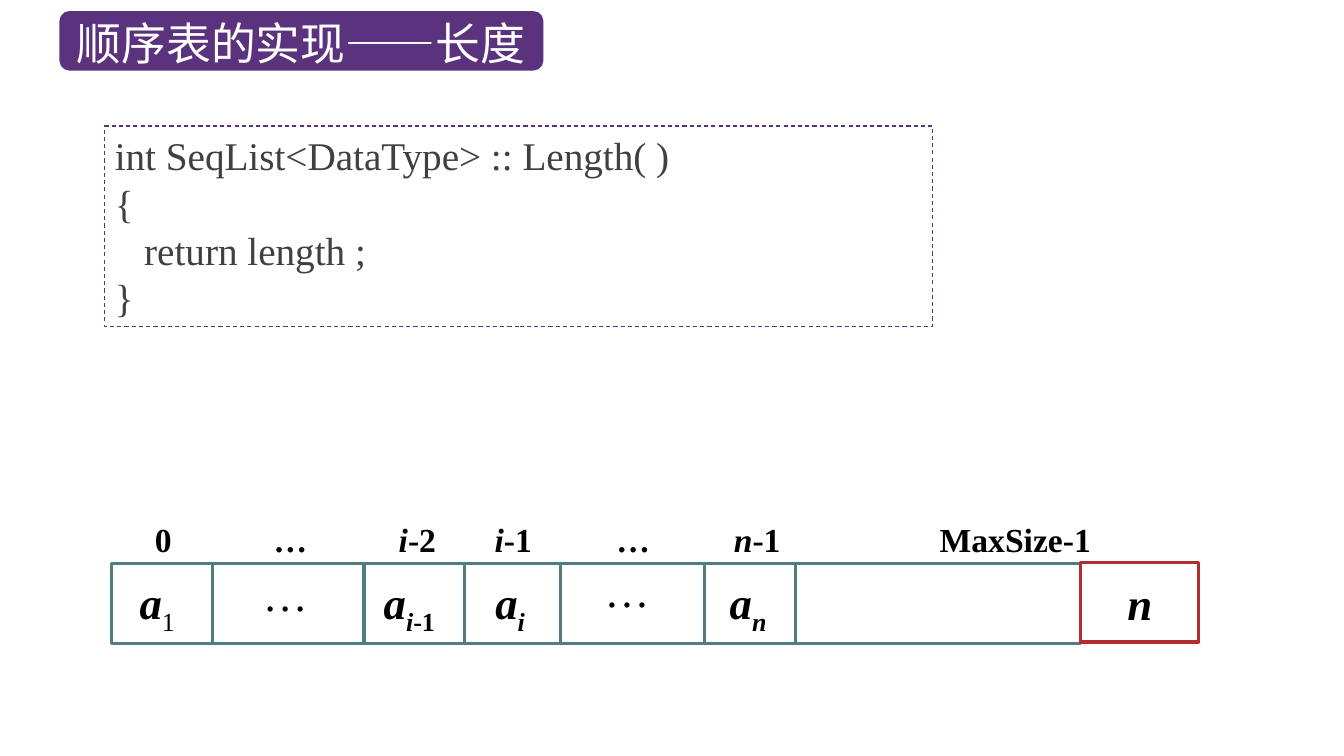
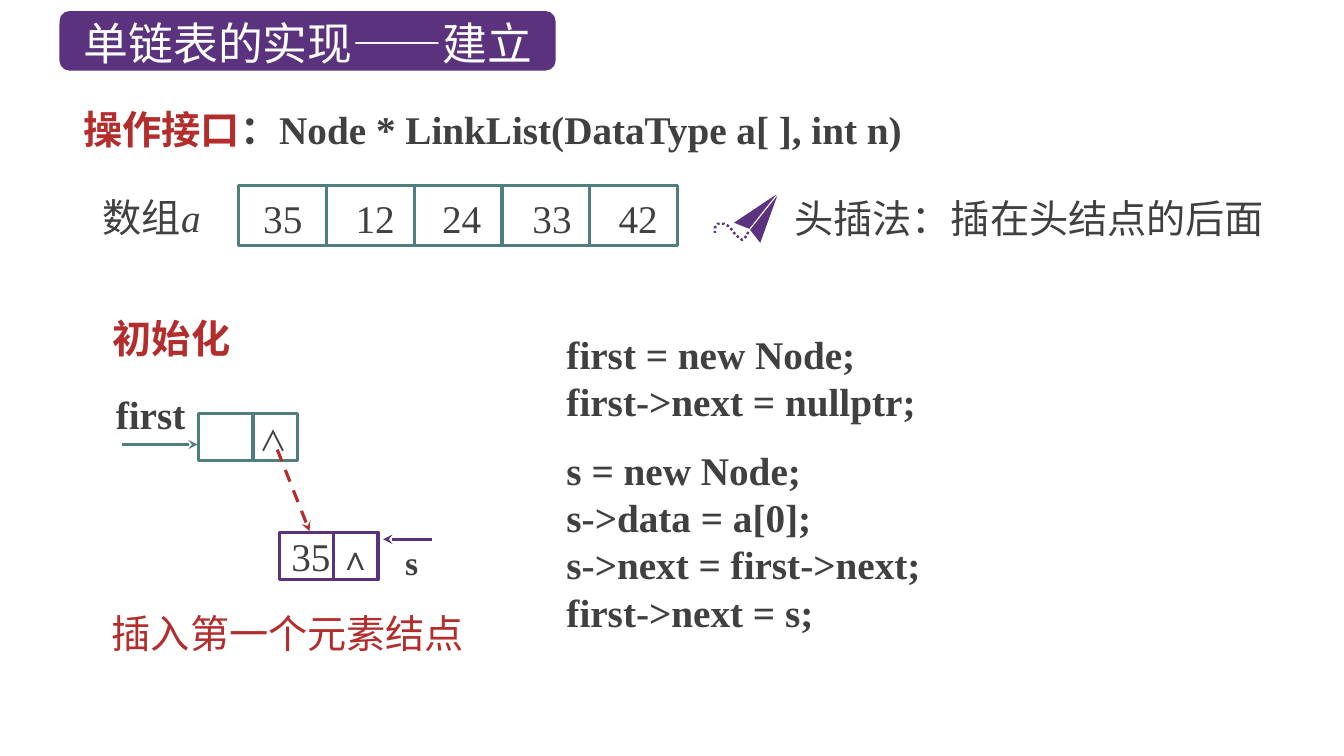
from lxml import etree
from pptx import Presentation
from pptx.dml.color import RGBColor
from pptx.enum.dml import MSO_LINE
from pptx.enum.shapes import MSO_CONNECTOR, MSO_SHAPE
from pptx.enum.text import MSO_ANCHOR, MSO_AUTO_SIZE, PP_ALIGN
from pptx.oxml.ns import qn
from pptx.util import Pt

PX = 9144  # 100 px to the inch
LATIN, CJK = "Times New Roman", "Noto Sans CJK SC"
PURPLE, TEAL, RED, GRAY = "5A327D", "507D7D", "B42D2D", "404040"
BLACK, WHITE = "000000", "FFFFFF"
LEFT, CENTER = PP_ALIGN.LEFT, PP_ALIGN.CENTER
TOP, MIDDLE = MSO_ANCHOR.TOP, MSO_ANCHOR.MIDDLE
DASH, DOT = MSO_LINE.DASH, MSO_LINE.ROUND_DOT
RECT, ROUNDED = MSO_SHAPE.RECTANGLE, MSO_SHAPE.ROUNDED_RECTANGLE
STRAIGHT = MSO_CONNECTOR.STRAIGHT
LATIN_LINE, CJK_LINE, SUB_LINE = 1.21, 1.28, 1.38  # line height in ems
INSET = (10, 5, 10, 5)

BODY = dict(name=LATIN, size=28, color=GRAY)
BOLD = dict(BODY, bold=True)
HEADING = dict(BOLD, color=RED)
CHINESE = dict(BODY, name=CJK)
TITLE = dict(name=CJK, size=32, color=WHITE)
INDEX = dict(name=LATIN, size=24, color=BLACK, bold=True)
CELL = dict(name=LATIN, size=32, color=BLACK)
SYMBOL = dict(CELL, bold=True, italic=True)
SUB = dict(SYMBOL, sub=True)

# Slide 1: code and the sequential list
LENGTH_CODE = ["int SeqList<DataType> :: Length( )", "{", "   return length ;", "}"]
ROW_EDGES = [111, 211, 361, 461, 556, 699, 789, 1072]
ROW_TOP, ROW_HEIGHT = 559, 79
INDEX_LABELS = [  # centre x, italic part, upright part
    (162, "", "0"), (288, "", "…"), (414, "i", "-2"), (509, "i", "-1"),
    (628, "", "…"), (751, "n", "-1"), (1007, "", "MaxSize-1"),
]
CELL_LABELS = [  # centre x, top, runs
    (156, 565, [("a", SYMBOL), ("1", dict(SUB, bold=False, italic=False))]),
    (283, 557, [("…", CELL)]),
    (406, 565, [("a", SYMBOL), ("i", SUB), ("-1", dict(SUB, italic=False))]),
    (506, 565, [("a", SYMBOL), ("i", SUB)]),
    (622, 553, [("…", CELL)]),
    (742, 565, [("a", SYMBOL), ("n", SUB)]),
]

# Slide 2: array, plane, captions and linked nodes
ARRAY = [("35", 0), ("12", 9), ("24", 7), ("33", 12), ("42", 9)]  # value, left inset
ARRAY_LEFT, ARRAY_TOP, ARRAY_STEP, ARRAY_HEIGHT = 237, 184, 87, 60
WINGS = [[(771, 194), (754, 241), (744, 228)], [(770, 193), (743, 227), (728, 221)]]
TRAIL = [(742, 230), (741, 234), (736, 238), (732, 235), (728, 231), (725, 227),
         (722, 224), (718, 222), (712, 222), (709, 226), (709, 231)]
CAPTIONS = [  # place, paragraphs of runs
    ((73, 97, 900, 57), [[("操作接口", HEADING),
                          ("：Node * LinkList(DataType a[ ], int n)", BOLD)]]),
    ((92, 184, 158, 57), [[("数组", CHINESE), ("a", dict(BODY, italic=True))]]),
    ((778, 185, 514, 57), [[("头插法：插在头结点的后面", CHINESE)]]),
    ((102, 304, 267, 57), [[("初始化", HEADING)]]),
    ((101, 597, 392, 57), [[("插入第一个元素结点", dict(CHINESE, color=RED))]]),
    ((552, 322, 691, 104), [[(line, BOLD)] for line in
                            ("first = new Node;", "first->next = nullptr;")]),
    ((552, 437, 682, 199), [[(line, BOLD)] for line in
                            ("s = new Node;", "s->data = a[0];",
                             "s->next = first->next;", "first->next = s;")]),
    ((105, 382, 103, 51), [[("first", BOLD)]]),
    ((248, 413, 48, 43), [[("∧", dict(CHINESE, size=20))]]),
    ((392, 532, 47, 40), [[("s", dict(BOLD, size=24))]]),
    ((326, 527, 49, 50), [[("∧", dict(BOLD, size=24))]]),
]
NODES = [(197, 410, TEAL, ""), (277, 528, PURPLE, "35")]
NODE_WIDTH, NODE_HEIGHT, NODE_SPLIT = 98, 47, 54
ARROWS = [  # start, end, colour, dash
    ((121, 441), (196, 441), TEAL, None),
    ((428, 535), (380, 535), PURPLE, None),
    ((275, 446), (307, 527), RED, DASH),
]


def px(*lengths):
    return [length * PX for length in lengths]


def rgb(color):
    return RGBColor.from_string(color)


def line_height(runs):
    if any(style.get("sub") for _, style in runs):
        return SUB_LINE
    wide = any(style["name"] == CJK or max(text) > "⺀" for text, style in runs)
    return CJK_LINE if wide else LATIN_LINE


def write(box, paragraphs, align=LEFT, anchor=TOP, inset=INSET, wrap=True):
    frame = box.text_frame
    settings = dict(zip(("margin_left", "margin_top", "margin_right", "margin_bottom"),
                        px(*inset)),
                    word_wrap=wrap, vertical_anchor=anchor, auto_size=MSO_AUTO_SIZE.NONE)
    for key, value in settings.items():
        setattr(frame, key, value)
    for number, runs in enumerate(paragraphs):
        para = frame.add_paragraph() if number else frame.paragraphs[0]
        para.alignment = align
        height = line_height(runs)
        para.line_spacing = Pt(round(runs[0][1]["size"] * height, 1))
        for text, style in runs:
            span = para.add_run()
            span.text = text
            formats = dict(name=style["name"], size=Pt(style["size"]),
                           bold=style.get("bold", False), italic=style.get("italic", False))
            for key, value in formats.items():
                setattr(span.font, key, value)
            span.font.color.rgb = rgb(style["color"])
            properties = span._r.get_or_add_rPr()
            if style.get("sub"):
                properties.set("baseline", "-25000")
            if height == CJK_LINE:
                etree.SubElement(properties, qn("a:ea")).set("typeface", CJK)


def add_text(page, place, paragraphs, **layout):
    box = page.shapes.add_textbox(*px(*place))
    write(box, paragraphs, **layout)


def paint(shape, fill=None, line=None, width=2.25, dash=None):
    shape.shadow.inherit = False
    if fill:
        shape.fill.solid()
        shape.fill.fore_color.rgb = rgb(fill)
    else:
        shape.fill.background()
    if line:
        shape.line.color.rgb = rgb(line)
        shape.line.width = Pt(width)
        if dash:
            shape.line.dash_style = dash
    else:
        shape.line.fill.background()


def add_box(page, place, kind=RECT, **look):
    shape = page.shapes.add_shape(kind, *px(*place))
    paint(shape, **look)
    return shape


def add_line(page, start, end, color, dash=None, arrow=False):
    line = page.shapes.add_connector(STRAIGHT, *px(*start, *end))
    line.line.color.rgb = rgb(color)
    line.line.width = Pt(2.25)
    if dash:
        line.line.dash_style = dash
    if arrow:
        etree.SubElement(line.line._get_or_add_ln(), qn("a:tailEnd")).set("type", "stealth")
    etree.SubElement(line._element.spPr, qn("a:effectLst"))


def add_outline(page, points, close=True, **look):
    builder = page.shapes.build_freeform(*points[0], scale=PX)
    builder.add_line_segments(points[1:], close=close)
    paint(builder.convert_to_shape(), **look)


def add_page(deck, title, band_width, title_left):
    page = deck.slides.add_slide(deck.slide_layouts[5])
    band = add_box(page, (59, 11, band_width, 59), ROUNDED, fill=PURPLE)
    page.shapes._spTree.insert(2, band._element)  # band goes behind the title
    heading = page.shapes.title
    heading.left, heading.top, heading.width, heading.height = px(title_left, 7, 483, 64)
    write(heading, [[(title, TITLE)]])
    return page


def build_length(deck):
    page = add_page(deck, "顺序表的实现——长度", 480, 66)
    code = add_box(page, (104, 125, 821, 199), line=PURPLE, width=0.75, dash=DASH)
    write(code, [[(line, BODY)] for line in LENGTH_CODE])

    # Row of cells with its labels
    left, right = ROW_EDGES[0], ROW_EDGES[-1]
    add_box(page, (left, ROW_TOP, right - left, ROW_HEIGHT), line=TEAL)
    for x in ROW_EDGES[1:-1]:
        add_line(page, (x, ROW_TOP), (x, ROW_TOP + ROW_HEIGHT), TEAL)
    for center, slanted, upright in INDEX_LABELS:
        runs = [(slanted, dict(INDEX, italic=True))] if slanted else []
        add_text(page, (center - 100, 510, 200, 50), [runs + [(upright, INDEX)]],
                 align=CENTER)
    for center, top, runs in CELL_LABELS:
        add_text(page, (center - 45, top, 90, 63), [runs], align=CENTER, inset=(0, 5, 0, 5))

    # Length field
    field = add_box(page, (right, 558, 117, ROW_HEIGHT), line=RED)
    write(field, [[("n", SYMBOL)]], align=CENTER, anchor=MIDDLE)


def build_creation(deck):
    page = add_page(deck, "单链表的实现——建立", 492, 73)

    # Array cells
    for number, (value, shift) in enumerate(ARRAY):
        cell = add_box(page, (ARRAY_LEFT + number * ARRAY_STEP, ARRAY_TOP,
                              ARRAY_STEP, ARRAY_HEIGHT), line=TEAL)
        write(cell, [[(value, BODY)]], align=CENTER, anchor=MIDDLE, inset=(shift, 4, 0, 0))

    # Paper plane
    for wing in WINGS:
        add_outline(page, wing, fill=PURPLE)
    add_outline(page, TRAIL, close=False, line=PURPLE, width=1.75, dash=DOT)

    # Linked nodes
    for left, top, color, value in NODES:
        node = add_box(page, (left, top, NODE_WIDTH, NODE_HEIGHT), line=color)
        if value:
            write(node, [[(value, BODY)]], anchor=MIDDLE, inset=(12, 0, 0, 0))
        split = left + NODE_SPLIT
        add_line(page, (split, top), (split, top + NODE_HEIGHT), color)
    for start, end, color, dash in ARROWS:
        add_line(page, start, end, color, dash, arrow=True)
    for place, paragraphs in CAPTIONS:
        add_text(page, place, paragraphs)


def main():
    deck = Presentation()
    deck.slide_width, deck.slide_height = px(1333, 750)
    build_length(deck)
    build_creation(deck)
    deck.save("out.pptx")


if __name__ == "__main__":
    main()
